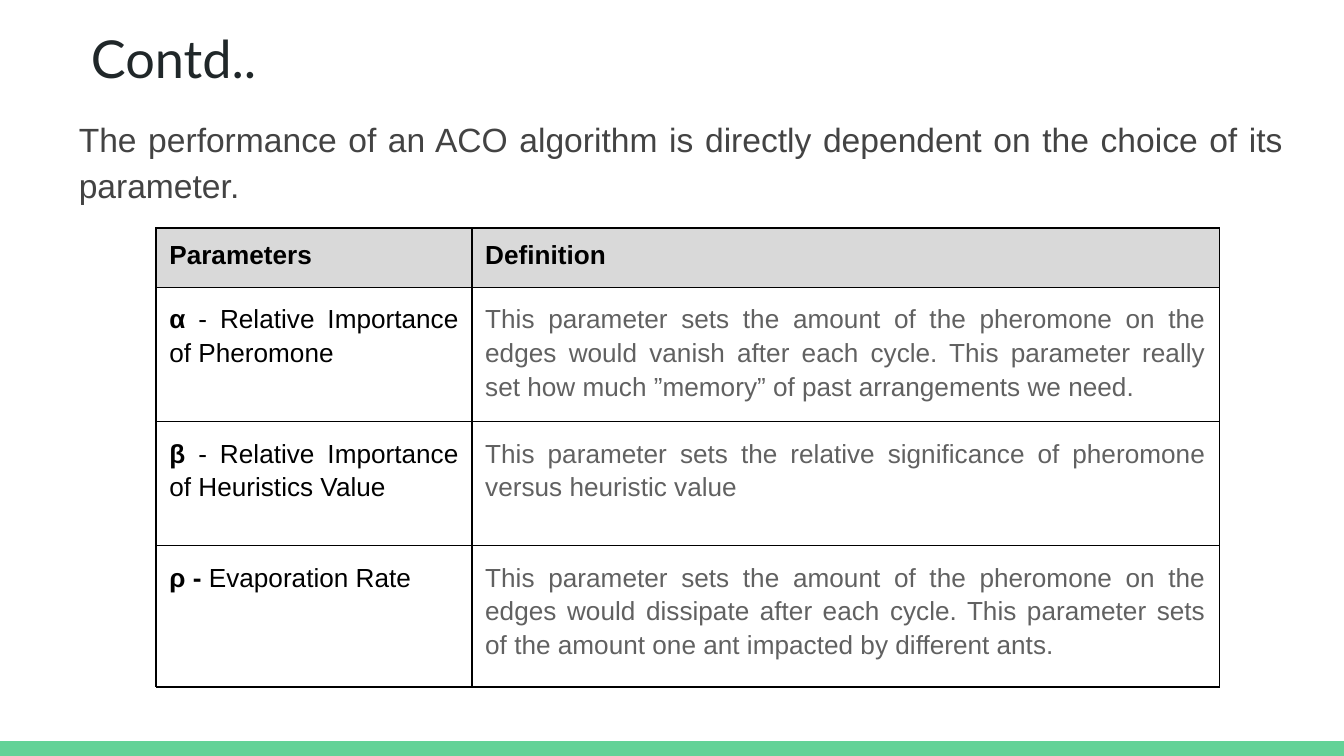
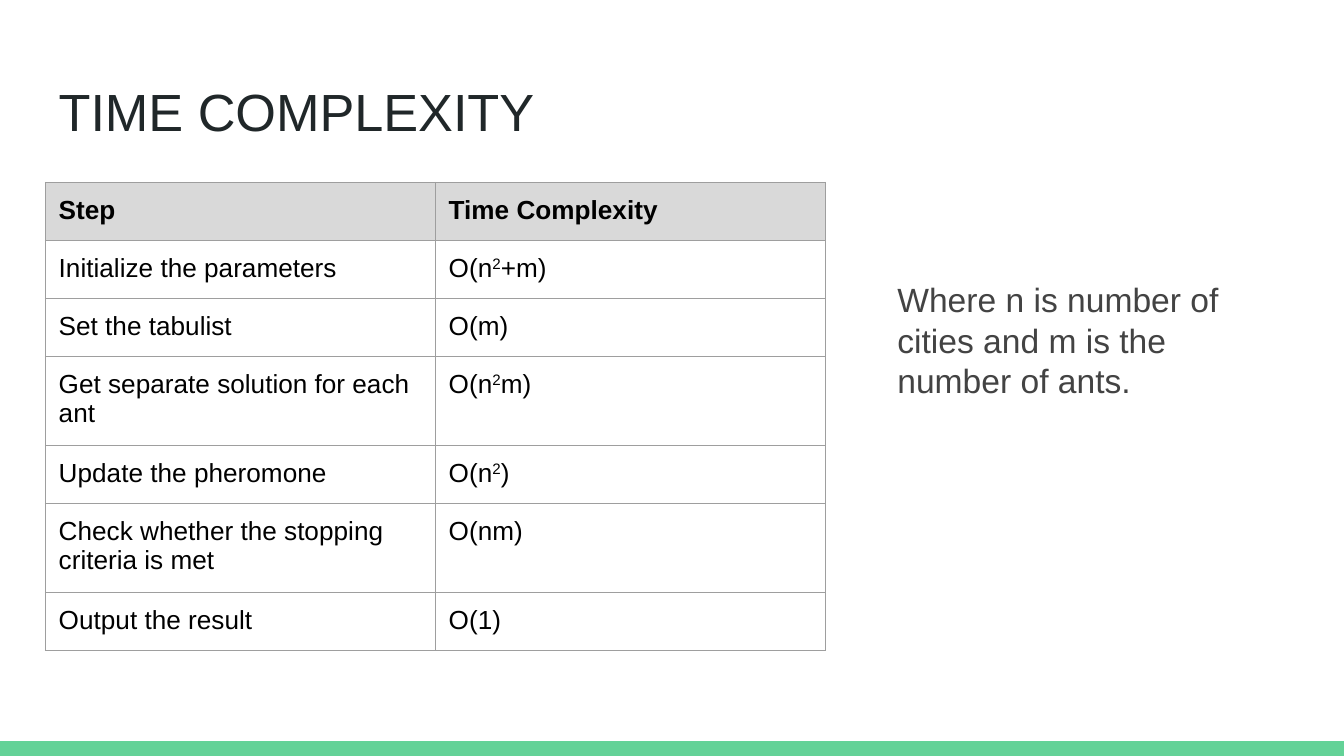
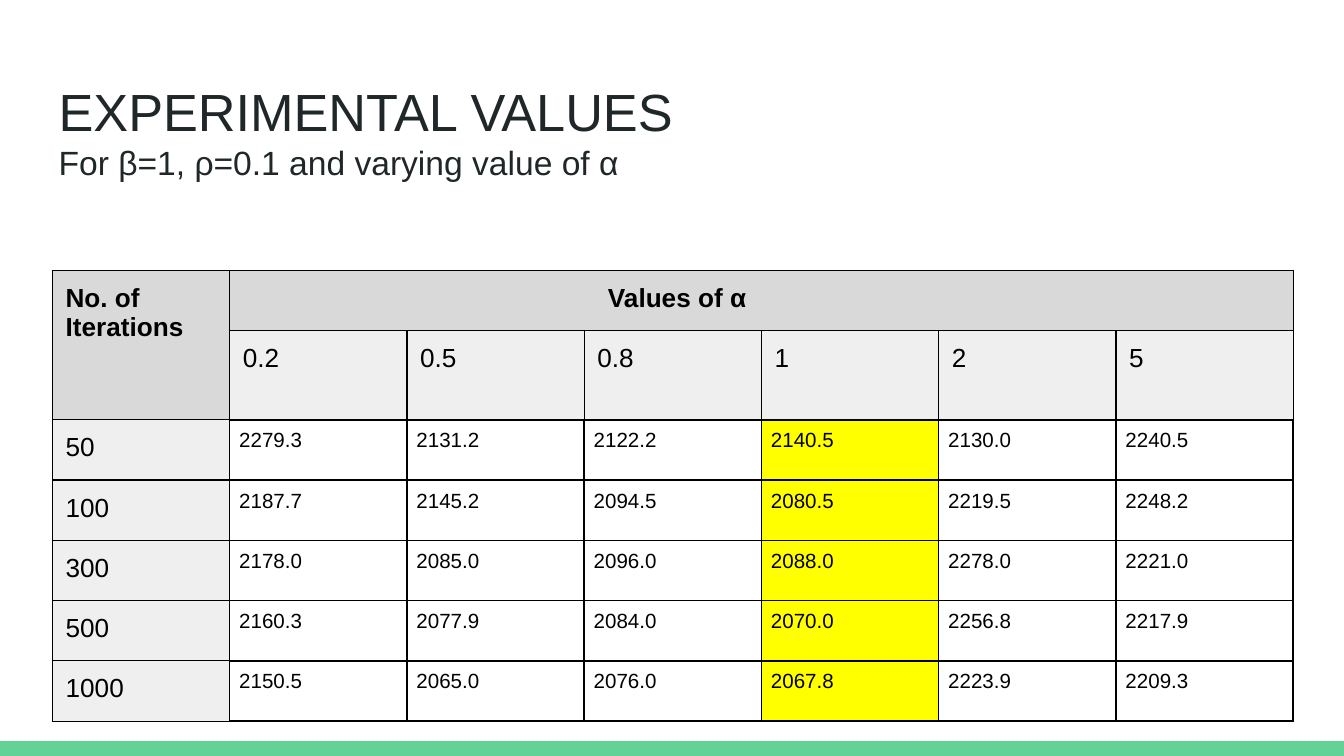
from dataclasses import dataclass

from lxml import etree
from pptx import Presentation
from pptx import util as u
from pptx.dml import color as col
from pptx.enum import shapes, text
from pptx.oxml import ns


@dataclass(frozen=True)
class Theme:
    # Colours
    page: str = "FFFFFF"
    band: str = "63D297"
    title: str = "202729"
    body: str = "434343"
    soft: str = "616161"
    ink: str = "000000"
    rule: str = "9E9E9E"
    head: str = "D9D9D9"
    side: str = "EFEFEF"
    mark: str = "FFFF00"
    # Type, in points
    font: str = "Arial"
    alt: str = "Lato"
    big: int = 28
    mid: int = 18
    cell: int = 14
    small: int = 11
    # Line widths, in points
    thin: float = 0.75
    thick: float = 1
    # Insets, in centimetres
    pad: float = 0.25
    tight: float = 0.18


T = Theme()
TITLE = {"size": T.big, "color": T.title}
BODY = {"size": T.mid, "color": T.body}
CELL = {"size": T.cell, "color": T.ink}
BOLD = {**CELL, "bold": True}
SOFT = {**CELL, "color": T.soft}
DATA = {**CELL, "size": T.small}
SUP = {**CELL, "sup": True}
JUST = {"alignment": text.PP_ALIGN.JUSTIFY, "line_spacing": 1.15}


# Text
def inset(box, pad):
    for side in ("left", "top", "right", "bottom"):
        setattr(box, f"margin_{side}", u.Cm(pad))


def style(run, size, color, name=T.font, bold=False, sup=False):
    for key, val in {"size": u.Pt(size), "name": name, "bold": bold}.items():
        setattr(run.font, key, val)
    run.font.color.rgb = col.RGBColor.from_string(color)
    if sup:
        run.font._element.set("baseline", "30000")


def write(frame, paras, form=None):
    """Each paragraph is a list of (words, style) runs."""
    for i, runs in enumerate(paras):
        para = frame.add_paragraph() if i else frame.paragraphs[0]
        for key, val in (form or {}).items():
            setattr(para, key, val)
        for words, look in runs:
            run = para.add_run()
            run.text = words
            style(run, **look)


def label(slide, area, paras, form=None):
    frame = slide.shapes.add_textbox(*map(u.Cm, area)).text_frame
    frame.word_wrap = True
    inset(frame, T.pad)
    write(frame, paras, form)


# Tables
def paint(cell, fill, line, width):
    props = cell._tc.get_or_add_tcPr()
    for side in "LRTB":
        edge = etree.SubElement(props, ns.qn(f"a:ln{side}"), w=str(u.Pt(width)))
        solid = etree.SubElement(edge, ns.qn("a:solidFill"))
        etree.SubElement(solid, ns.qn("a:srgbClr"), val=line)
    if fill:
        cell.fill.solid()
        cell.fill.fore_color.rgb = col.RGBColor.from_string(fill)
    else:
        cell.fill.background()


def put(cell, runs, fill=None, line=T.ink, width=T.thin, pad=T.pad, form=None):
    inset(cell, pad)
    write(cell.text_frame, [runs], form)
    paint(cell, fill, line, width)


def grid(slide, left, top, cols, rows):
    area = map(u.Cm, (left, top, sum(cols), sum(rows)))
    table = slide.shapes.add_table(len(rows), len(cols), *area).table
    table.first_row = table.horz_banding = False
    for part, size in zip(table.columns, cols):
        part.width = u.Cm(size)
    for part, size in zip(table.rows, rows):
        part.height = u.Cm(size)
    return table


def heads(table, names, line):
    for c, name in enumerate(names):
        put(table.cell(0, c), [(name, BOLD)], T.head, line)


# Page with the band at its foot
def page(deck):
    slide = deck.slides.add_slide(deck.slide_layouts[6])
    high = u.Cm(0.28)
    band = slide.shapes.add_shape(shapes.MSO_SHAPE.RECTANGLE, 0,
                                  deck.slide_height - high, deck.slide_width, high)
    band.shadow.inherit = False
    band.fill.solid()
    band.fill.fore_color.rgb = col.RGBColor.from_string(T.band)
    band.line.fill.background()
    return slide


# Slide 1: meaning of each parameter
def params(deck):
    slide = page(deck)
    label(slide, (1.47, 0.25, 23.04, 1.5), [[("Contd..", {**TITLE, "name": T.alt})]])
    label(slide, (1.24, 1.88, 23.27, 2.29), [[(
        "The performance of an ACO algorithm is directly dependent on the "
        "choice of its parameter.", BODY)]], JUST)
    table = grid(slide, 2.95, 4.31, (5.97, 14.12), (1.12, 2.41, 2.34, 2.67))
    heads(table, ("Parameters", "Definition"), T.ink)
    terms = (
        ("α ", "- Relative Importance of Pheromone",
         "This parameter sets the amount of the pheromone on the edges would vanish "
         "after each cycle. This parameter really set how much ”memory” of past "
         "arrangements we need."),
        ("β ", "- Relative Importance of Heuristics Value",
         "This parameter sets the relative significance of pheromone versus "
         "heuristic value"),
        ("ρ - ", "Evaporation Rate",
         "This parameter sets the amount of the pheromone on the edges would "
         "dissipate after each cycle. This parameter sets of the amount one ant "
         "impacted by different ants."),
    )
    for r, (sign, name, sense) in enumerate(terms, 1):
        put(table.cell(r, 0), [(sign, BOLD), (name, CELL)], form=JUST)
        put(table.cell(r, 1), [(sense, SOFT)], form=JUST)


# Slide 2: cost of each step
def cost(deck):
    slide = page(deck)
    label(slide, (0.86, 1.24, 23.67, 1.6), [[("TIME COMPLEXITY", TITLE)]])
    steps = (
        ("Initialize the parameters", "O(n^2^+m)"),
        ("Set the tabulist", "O(m)"),
        ("Get separate solution for each ant", "O(n^2^m)"),
        ("Update the pheromone", "O(n^2^)"),
        ("Check whether the stopping criteria is met", "O(nm)"),
        ("Output the result", "O(1)"),
    )
    table = grid(slide, 0.86, 3.45, [7.37] * 2, [1.07] * (len(steps) + 1))
    heads(table, ("Step", "Time Complexity"), T.rule)
    for r, (step, order) in enumerate(steps, 1):
        put(table.cell(r, 0), [(step, CELL)], line=T.rule)
        # Carets enclose a raised part
        runs = [(bit, SUP if i % 2 else CELL) for i, bit in enumerate(order.split("^"))]
        put(table.cell(r, 1), runs, line=T.rule)
    label(slide, (16.71, 5.03, 7.47, 4.22), [[(
        "Where n is number of cities and m is the number of ants.", BODY)]])


# Slide 3: results by alpha and iterations
def trials(deck):
    slide = page(deck)
    label(slide, (0.86, 1.24, 23.67, 3.1), [
        [("EXPERIMENTAL VALUES", TITLE)],
        [("For β=1, ρ=0.1 and varying value of α", {**TITLE, "size": T.mid})],
    ])
    alphas = ("0.2", "0.5", "0.8", "1", "2", "5")
    best = alphas.index("1")
    runs = {
        "50": (2279.3, 2131.2, 2122.2, 2140.5, 2130.0, 2240.5),
        "100": (2187.7, 2145.2, 2094.5, 2080.5, 2219.5, 2248.2),
        "300": (2178.0, 2085.0, 2096.0, 2088.0, 2278.0, 2221.0),
        "500": (2160.3, 2077.9, 2084.0, 2070.0, 2256.8, 2217.9),
        "1000": (2150.5, 2065.0, 2076.0, 2067.8, 2223.9, 2209.3),
    }
    wide = len(alphas) + 1
    table = grid(slide, 0.99, 5.11, [3.35] * wide, [1.14] * (len(runs) + 2))
    for c in range(2, wide):
        paint(table.cell(0, c), T.head, T.ink, T.thin)
    paint(table.cell(1, 0), T.head, T.ink, T.thin)
    table.cell(0, 0).merge(table.cell(1, 0))
    table.cell(0, 1).merge(table.cell(0, wide - 1))
    heads(table, ("No. of Iterations", "Values of α"), T.ink)
    over = table.cell(0, 1).text_frame.paragraphs[0]
    over._p.get_or_add_pPr().set("marL", str(u.Cm(6.9)))
    for c, alpha in enumerate(alphas, 1):
        put(table.cell(1, c), [(alpha, CELL)], T.side)
    for r, (count, vals) in enumerate(runs.items(), 2):
        put(table.cell(r, 0), [(count, CELL)], T.side)
        for c, val in enumerate(vals):
            put(table.cell(r, c + 1), [(f"{val:.1f}", DATA)],
                T.mark if c == best else None, width=T.thick, pad=T.tight)


def main():
    deck = Presentation()
    deck.slide_width, deck.slide_height = u.Cm(25.4), u.Cm(14.29)
    back = deck.slide_master.background.fill
    back.solid()
    back.fore_color.rgb = col.RGBColor.from_string(T.page)
    for build in (params, cost, trials):
        build(deck)
    deck.save("out.pptx")


if __name__ == "__main__":
    main()
